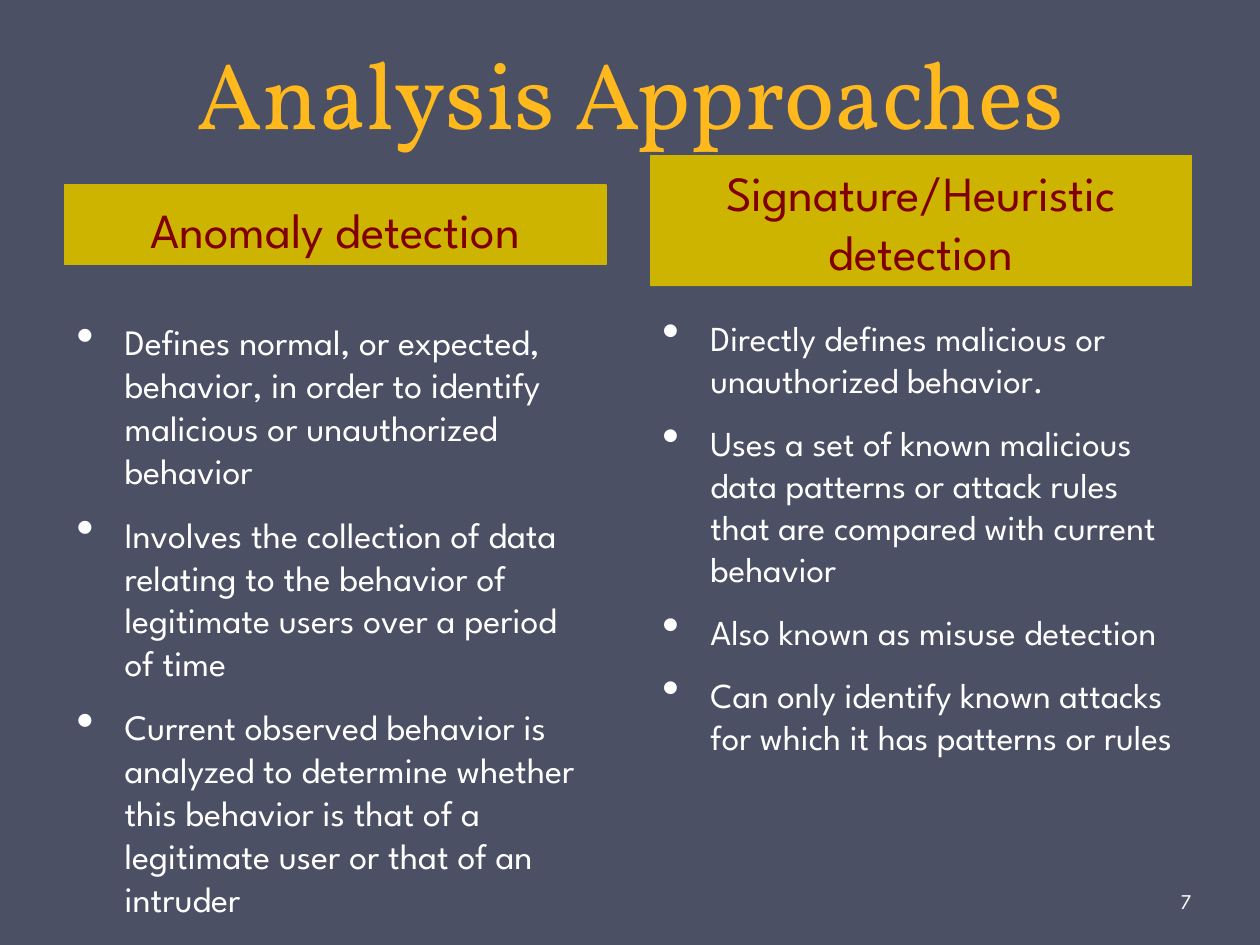
from dataclasses import dataclass

from lxml import etree
from pptx import Presentation
from pptx.dml.color import RGBColor
from pptx.enum import shapes, text
from pptx.oxml import ns
from pptx.util import Pt

COLORS = {
    "background": "4B5064",
    "title": "FFB91D",
    "banner": "CCB400",
    "heading": "800000",
    "body": "FFFFFF",
}
COLUMN_WIDTH = 309.6
COLUMNS = [
    {
        "left": 36.7,
        "heading": "Anomaly detection",
        "banner": (105.8, 45.4),
        "outlined": True,
        "list": (179.3, 335.5),
        "size": 20.4,
        "points": [
            "Defines normal, or expected, behavior, in order to identify malicious or unauthorized behavior",
            "Involves the collection of data relating to the behavior of legitimate users over a period of time",
            "Current observed behavior is analyzed to determine whether this behavior is that of a legitimate user or that of an intruder",
        ],
    },
    {
        "left": 371.5,
        "heading": "Signature/Heuristic detection",
        "banner": (88.6, 74.9),
        "outlined": False,
        "list": (177.1, 301.7),
        "size": 20,
        "points": [
            "Directly defines malicious or unauthorized behavior.",
            "Uses a set of known malicious data patterns or attack rules that are compared with current behavior",
            "Also known as misuse detection",
            "Can only identify known attacks for which it has patterns or rules",
        ],
    },
]


def color(name):
    return RGBColor.from_string(COLORS[name])


@dataclass
class Page:
    slide: object
    title_font: str = "Vollkorn"
    body_font: str = "League Spartan"
    indent: float = 27.4

    def background(self):
        fill = self.slide.background.fill
        fill.solid()
        fill.fore_color.rgb = color("background")

    def set_text(self, box, lines, size, tint, font=None, anchor="TOP", align="LEFT"):
        frame = box.text_frame
        frame.word_wrap = True
        frame.vertical_anchor = text.MSO_ANCHOR[anchor]
        frame.text = "\n".join(lines)
        for para in frame.paragraphs:
            para.alignment = text.PP_ALIGN[align]
            for span in para.runs:
                span.font.name = font or self.body_font
                span.font.size = Pt(size)
                span.font.color.rgb = color(tint)
        return frame

    def textbox(self, left, top, width, height):
        return self.slide.shapes.add_textbox(Pt(left), Pt(top), Pt(width), Pt(height))

    def title(self, words):
        box = self.textbox(36, 0, 648, 88.6)
        frame = self.set_text(box, [words], 54, "title", self.title_font, "BOTTOM", "CENTER")
        frame.paragraphs[0].line_spacing = Pt(58)

    def banner(self, words, left, top, width, height, outlined):
        box = self.slide.shapes.add_shape(
            shapes.MSO_SHAPE.RECTANGLE, Pt(left), Pt(top), Pt(width), Pt(height)
        )
        box.shadow.inherit = False
        box.fill.solid()
        box.fill.fore_color.rgb = color("banner")
        if outlined:
            box.line.color.rgb = color("banner")
            box.line.width = Pt(0.75)
        else:
            box.line.fill.background()
        self.set_text(box, [words], 28, "heading", anchor="BOTTOM", align="CENTER")

    def bullets(self, points, left, top, width, height, size):
        box = self.textbox(left, top, width, height)
        frame = self.set_text(box, points, size, "body")
        for index, para in enumerate(frame.paragraphs):
            para.space_before = Pt(size * 0.2 if index else 0)
            para.space_after = Pt(8)
            properties = para._p.get_or_add_pPr()
            properties.set("marL", str(Pt(self.indent)))
            properties.set("indent", str(-Pt(self.indent)))
            etree.SubElement(properties, ns.qn("a:buSzPct"), val="140000")
            etree.SubElement(properties, ns.qn("a:buChar"), char="•")

    def number(self, words):
        box = self.textbox(672.5, 500.4, 43.9, 28.8)
        frame = self.set_text(box, [words], 12, "body", anchor="MIDDLE")
        frame.margin_left = Pt(2.2)
        frame.margin_right = Pt(3.6)


def main():
    deck = Presentation()
    deck.slide_width, deck.slide_height = Pt(720), Pt(540)
    page = Page(deck.slides.add_slide(deck.slide_layouts[6]))
    page.background()
    page.title("Analysis Approaches")
    for column in COLUMNS:
        top, height = column["banner"]
        page.banner(column["heading"], column["left"], top, COLUMN_WIDTH, height, column["outlined"])
    for column in COLUMNS:
        top, height = column["list"]
        page.bullets(column["points"], column["left"], top, COLUMN_WIDTH, height, column["size"])
    page.number("7")
    deck.save("out.pptx")


if __name__ == "__main__":
    main()
